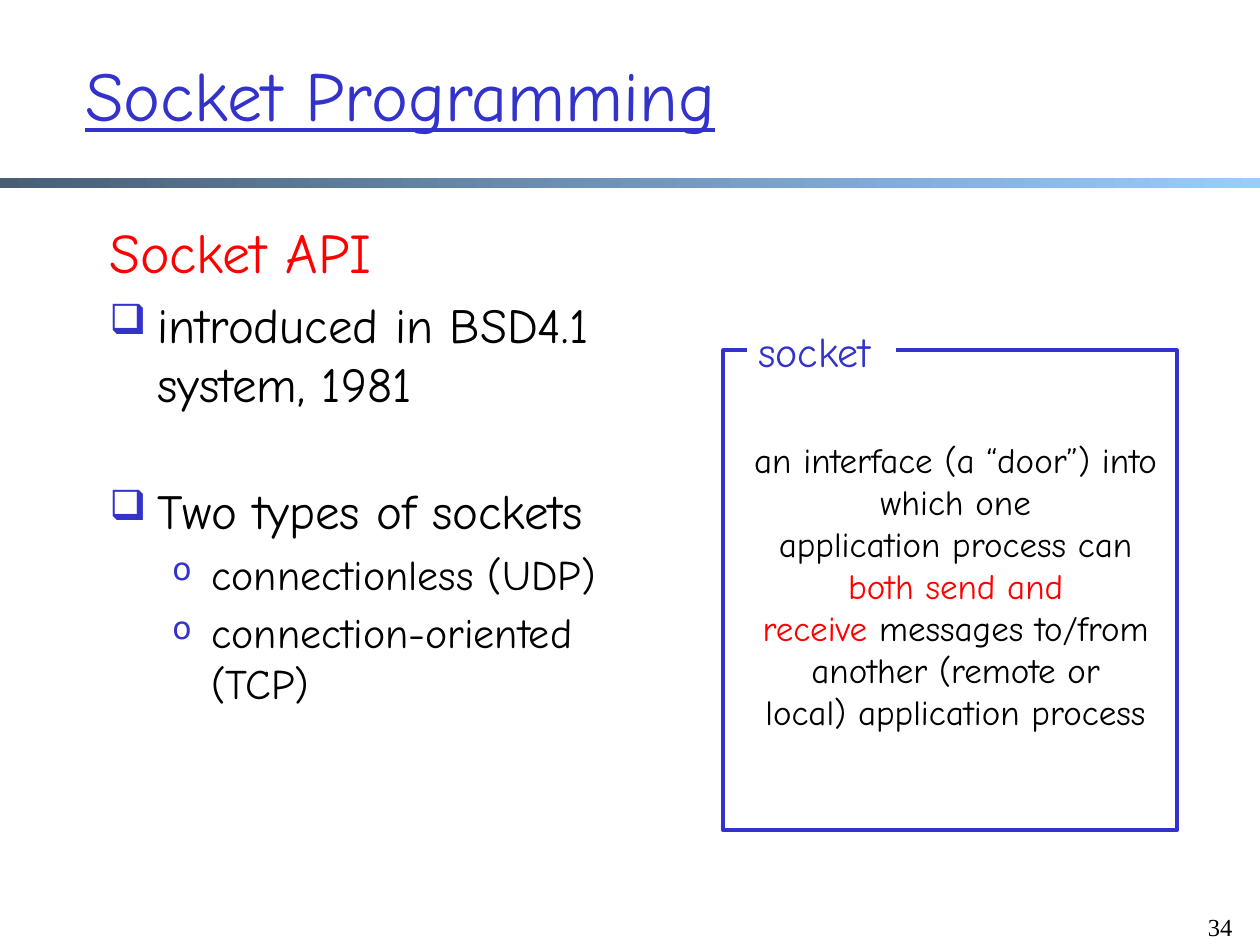
from lxml import etree
from pptx import Presentation
from pptx.dml.color import RGBColor
from pptx.enum import shapes, text
from pptx.oxml.ns import qn
from pptx.util import Inches, Pt

COLORS = {"blue": "3333CC", "red": "FF0000", "black": "000000",
          "white": "FFFFFF", "slate": "475E76", "sky": "99CCFF"}
ALIGN = text.PP_ALIGN
ANCHOR = text.MSO_ANCHOR


def rgb(name):
    return RGBColor.from_string(COLORS[name])


def add_text(p, content, size=20, color="black", font="Comic Neue",
             underline=False, align=ALIGN.LEFT):
    p.alignment = align
    r = p.add_run()
    r.text = content
    r.font.size = Pt(size)
    r.font.name = font
    r.font.color.rgb = rgb(color)
    if underline:
        r.font.underline = True


prs = Presentation()
prs.slide_width = Inches(10)
prs.slide_height = Inches(7.5)
s = prs.slides.add_slide(prs.slide_layouts[6])

bar = s.shapes.add_shape(shapes.MSO_SHAPE.RECTANGLE, Inches(0), Inches(1.41), Inches(10), Inches(0.08))
bar.shadow.inherit = False
bar.line.fill.background()
bar.fill.gradient()
bar.fill.gradient_angle = 0
for stop, name in zip(bar.fill.gradient_stops, ("slate", "sky")):
    stop.color.rgb = rgb(name)

frame = s.shapes.add_shape(shapes.MSO_SHAPE.RECTANGLE, Inches(5.74), Inches(2.78), Inches(3.6), Inches(3.81))
frame.shadow.inherit = False
frame.fill.background()
frame.line.color.rgb = rgb("blue")
frame.line.width = Pt(2.25)

gap = s.shapes.add_shape(shapes.MSO_SHAPE.RECTANGLE, Inches(5.93), Inches(2.56), Inches(1.18), Inches(0.44))
gap.shadow.inherit = False
gap.fill.solid()
gap.fill.fore_color.rgb = rgb("white")
gap.line.fill.background()

boxes = {}
for name, left, top, width, height, anchor, wrap in [
    ("number", 9.38, 7.19, 0.5, 0.5, ANCHOR.TOP, True),
    ("title", 0.58, 0.27, 8.5, 0.94, ANCHOR.MIDDLE, True),
    ("body", 0.77, 1.68, 4.33, 5.36, ANCHOR.TOP, True),
    ("definition", 5.78, 3.43, 3.61, 2.83, ANCHOR.TOP, True),
    ("label", 5.85, 2.53, 1.23, 0.5, ANCHOR.MIDDLE, False),
]:
    tf = s.shapes.add_textbox(Inches(left), Inches(top), Inches(width), Inches(height)).text_frame
    tf.word_wrap = wrap
    tf.vertical_anchor = anchor
    boxes[name] = tf

add_text(boxes["number"].paragraphs[0], "34", size=14, font="Times New Roman", align=ALIGN.RIGHT)
add_text(boxes["title"].paragraphs[0], "Socket Programming", size=40, color="blue", underline=True)
add_text(boxes["label"].paragraphs[0], "socket", size=24, color="blue", align=ALIGN.CENTER)

tf = boxes["body"]
add_text(tf.paragraphs[0], "Socket API", size=32, color="red")
for content, level, before in [
    ("introduced in BSD4.1 system, 1981", 0, 5.6),
    ("Two types of sockets", 0, 39),
    ("connectionless (UDP)", 1, 4.8),
    ("connection-oriented (TCP)", 1, 4.8),
]:
    size, char, scale, margin, indent = [(28, "❑", 85, 0.38, -0.38), (24, "o", 75, 0.81, -0.31)][level]
    p = tf.add_paragraph()
    p.level = level
    pPr = p._p.get_or_add_pPr()
    pPr.set("marL", str(Inches(margin)))
    pPr.set("indent", str(Inches(indent)))
    bullet_color = etree.SubElement(pPr, qn("a:buClr"))
    etree.SubElement(bullet_color, qn("a:srgbClr"), val=COLORS["blue"])
    etree.SubElement(pPr, qn("a:buSzPct"), val=str(scale * 1000))
    etree.SubElement(pPr, qn("a:buChar"), char=char)
    p.space_before = Pt(before)
    add_text(p, content, size=size)

tf = boxes["definition"]
for i, runs in enumerate([
    [("an interface (a “door”) into which one", "black")],
    [("application process can ", "black"), ("both send and", "red")],
    [("receive", "red"), (" messages to/from another (remote or", "black")],
    [("local) application process", "black")],
]):
    p = tf.add_paragraph() if i else tf.paragraphs[0]
    for content, color in runs:
        add_text(p, content, color=color, align=ALIGN.CENTER)

prs.save("out.pptx")
